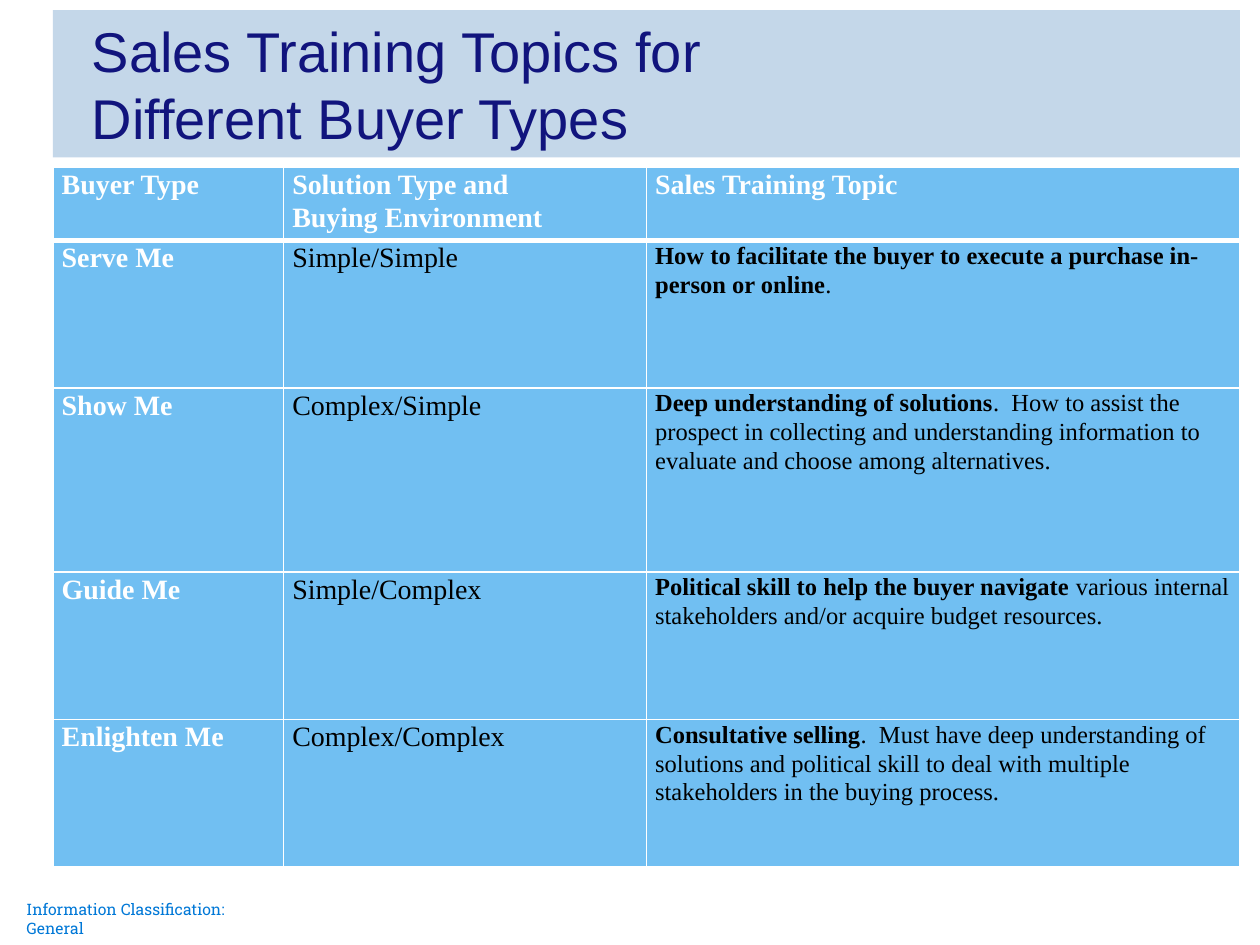
from lxml import etree
from pptx import Presentation
from pptx.dml.color import RGBColor
from pptx.enum.shapes import MSO_SHAPE
from pptx.enum.text import MSO_ANCHOR, PP_ALIGN
from pptx.oxml.ns import qn
from pptx.util import Inches, Pt

RECTANGLE = MSO_SHAPE.RECTANGLE
MIDDLE = MSO_ANCHOR.MIDDLE
LEFT = PP_ALIGN.LEFT

WHITE = RGBColor(0xFF, 0xFF, 0xFF)
BLACK = RGBColor(0x00, 0x00, 0x00)
NAVY = RGBColor(0x11, 0x14, 0x7D)
PALE_BLUE = RGBColor(0xC4, 0xD7, 0xE9)
SKY_BLUE = RGBColor(0x71, 0xBF, 0xF2)
FOOTER_BLUE = RGBColor(0x00, 0x78, 0xD7)

MARGIN_LEFT = 0.42
COLUMN_WIDTHS = [1.83, 2.88, 4.71]
ROW_HEIGHTS = [0.58, 1.17, 1.46, 1.17, 1.17]
CONTENT_WIDTH = sum(COLUMN_WIDTHS)

HEADINGS = [["Buyer Type"],
            ["Solution Type and", "Buying Environment"],
            ["Sales Training Topic"]]
# Buyer type, solution and environment, bold part of the topic, rest of the topic
BUYERS = [
    ("Serve Me", "Simple/Simple",
     "How to facilitate the buyer to execute a purchase in-person or online", "."),
    ("Show Me", "Complex/Simple",
     "Deep understanding of solutions",
     ".  How to assist the prospect in collecting and understanding information "
     "to evaluate and choose among alternatives."),
    ("Guide Me", "Simple/Complex",
     "Political skill to help the buyer navigate ",
     "various internal stakeholders and/or acquire budget resources."),
    ("Enlighten Me", "Complex/Complex",
     "Consultative selling",
     ".  Must have deep understanding of solutions and political skill to deal "
     "with multiple stakeholders in the buying process."),
]


def add_run(paragraph, text, font, size, color, bold=False):
    run = paragraph.add_run()
    run.text = text
    run.font.name = font
    run.font.size = Pt(size)
    run.font.color.rgb = color
    run.font.bold = bold


def add_border(cell, side, width):
    """Draw a white line on one side of the cell: lnL, lnR, lnT or lnB."""
    line = etree.Element(qn(f"a:{side}"), w=str(Pt(width)))
    fill = etree.SubElement(line, qn("a:solidFill"))
    etree.SubElement(fill, qn("a:srgbClr"), val=str(WHITE))
    cell._tc.get_or_add_tcPr().append(line)


prs = Presentation()
prs.slide_width = Inches(10)
prs.slide_height = Inches(7.5)
slide = prs.slides.add_slide(prs.slide_layouts[6])

# Footer
footer = slide.shapes.add_textbox(Inches(0.21), Inches(7.14), Inches(2.03), Inches(0.15))
frame = footer.text_frame
frame.word_wrap = True
frame.margin_left = frame.margin_right = frame.margin_top = frame.margin_bottom = 0
add_run(frame.paragraphs[0], "Information Classification: General",
        "Roboto Slab", 9, FOOTER_BLUE)

# Title band
title = slide.shapes.add_shape(RECTANGLE, Inches(MARGIN_LEFT), Inches(0.08),
                               Inches(CONTENT_WIDTH), Inches(1.17))
title.shadow.inherit = False
title.fill.solid()
title.fill.fore_color.rgb = PALE_BLUE
title.line.fill.background()
title.text_frame.word_wrap = True
title.text_frame.vertical_anchor = MIDDLE
heading = title.text_frame.paragraphs[0]
heading.alignment = LEFT
heading._p.get_or_add_pPr().set("marL", str(Inches(0.21)))
add_run(heading, "Sales Training Topics for ", "Arial", 32, NAVY)
heading.add_line_break()
add_run(heading, "Different Buyer Types", "Arial", 32, NAVY)

# Each cell is a list of paragraphs, each paragraph a list of (text, size, color, bold)
rows = [[[[(line, 16, WHITE, True)] for line in lines] for lines in HEADINGS]]
for buyer, environment, key_skill, detail in BUYERS:
    rows.append([
        [[(buyer, 16, WHITE, True)]],
        [[(environment, 16, BLACK, False)]],
        [[(key_skill, 14, BLACK, True), (detail, 14, BLACK, False)]],
    ])

# Table
table = slide.shapes.add_table(len(ROW_HEIGHTS), len(COLUMN_WIDTHS),
                               Inches(MARGIN_LEFT), Inches(1.33),
                               Inches(CONTENT_WIDTH), Inches(sum(ROW_HEIGHTS))).table
for column, width in zip(table.columns, COLUMN_WIDTHS):
    column.width = Inches(width)
for row, height in zip(table.rows, ROW_HEIGHTS):
    row.height = Inches(height)

for r, row in enumerate(rows):
    for c, paragraphs in enumerate(row):
        cell = table.cell(r, c)
        cell.margin_left = cell.margin_right = Inches(0.07)
        cell.margin_top = cell.margin_bottom = 0
        for side in ("lnL", "lnR", "lnT", "lnB"):
            under_header = (r, side) in ((0, "lnB"), (1, "lnT"))
            add_border(cell, side, 3 if under_header else 1)
        cell.fill.solid()
        cell.fill.fore_color.rgb = SKY_BLUE
        for i, runs in enumerate(paragraphs):
            frame = cell.text_frame
            paragraph = frame.paragraphs[0] if i == 0 else frame.add_paragraph()
            paragraph.line_spacing = 1.07
            for text, size, color, bold in runs:
                add_run(paragraph, text, "Times New Roman", size, color, bold)

prs.save("out.pptx")
